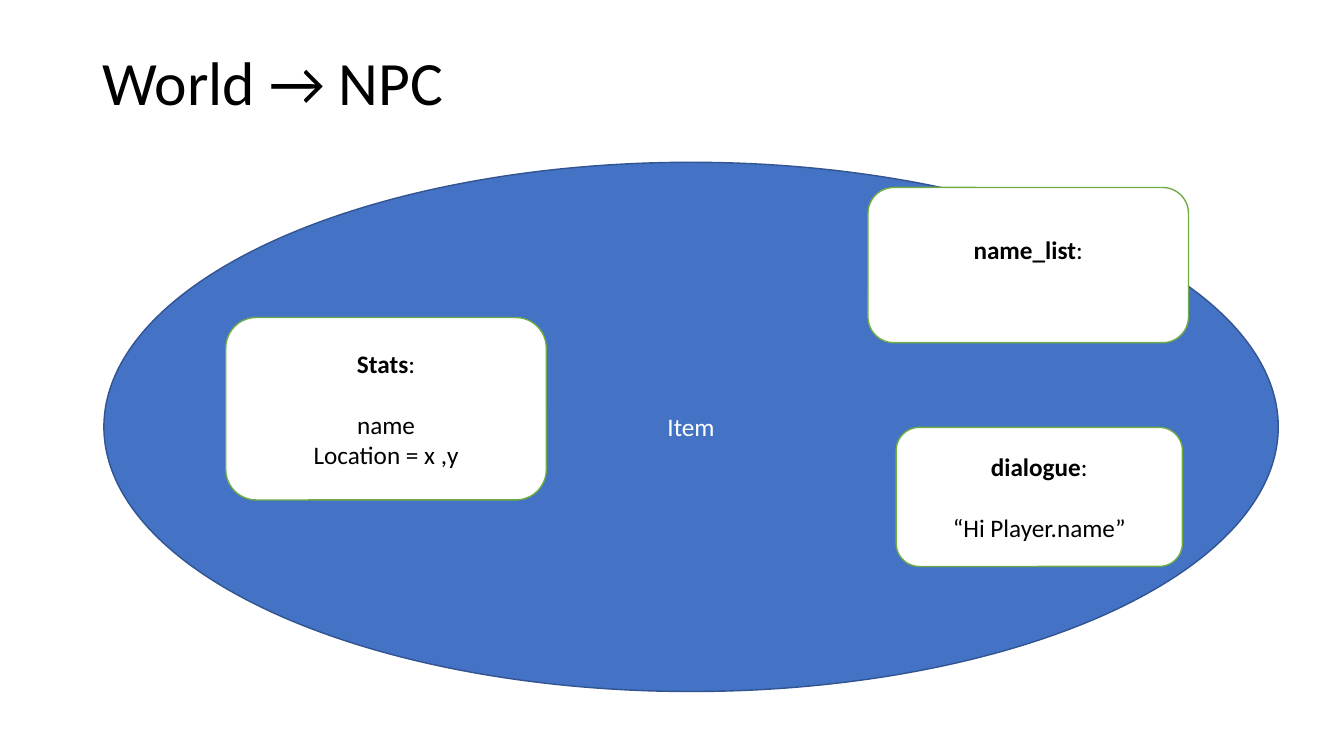
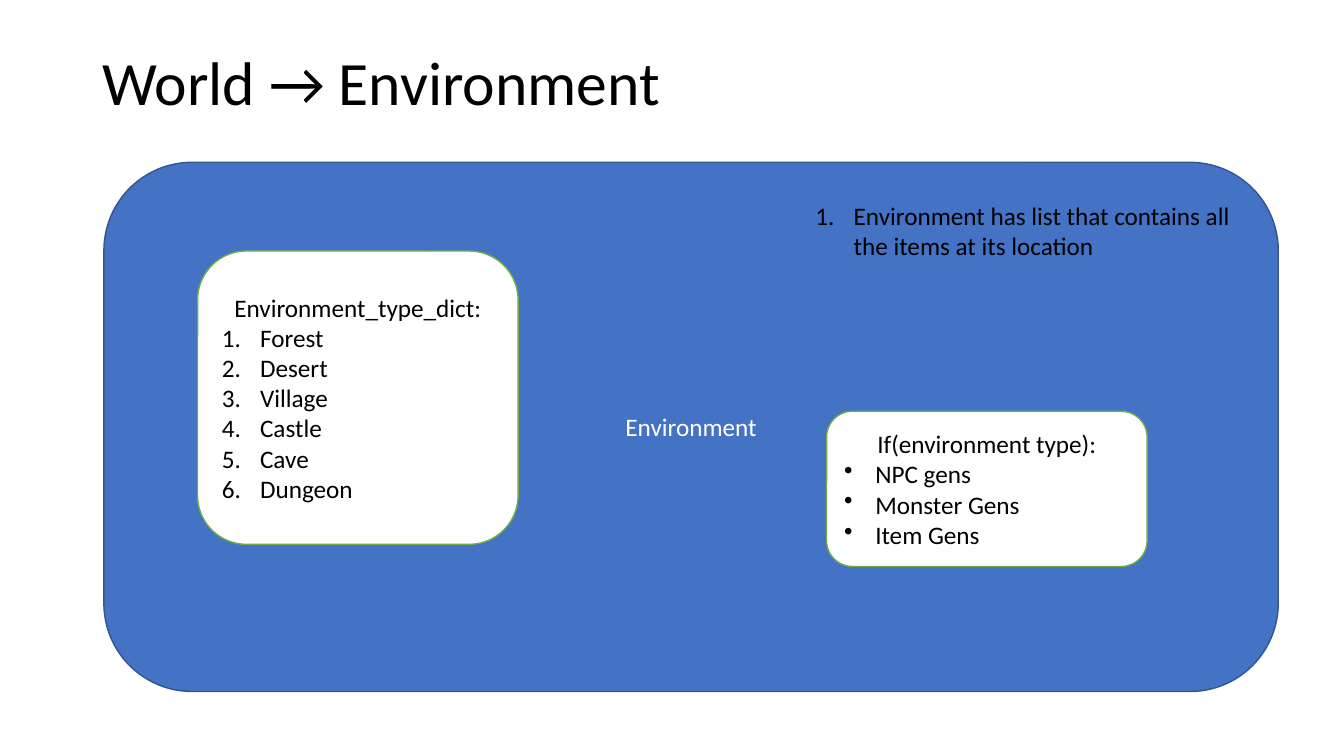
from lxml.etree import SubElement
from pptx import Presentation
from pptx.dml.color import RGBColor
from pptx.enum.shapes import MSO_SHAPE as Preset
from pptx.enum.text import MSO_ANCHOR as Anchor, PP_ALIGN as Align
from pptx.oxml.ns import qn
from pptx.util import Inches, Pt

THEME = {
    "font": "Calibri", "title_size": 44, "body_size": 18, "line_width": 1,
    "black": "000000", "white": "FFFFFF", "blue": "4472C4",
    "blue_edge": "325491", "green": "70AD47",
    "blank_line": 22,  # points, one body line
}
SIZE = (Inches(13.33), Inches(7.5))

# Areas are left, top, width, height in percent of the slide
TITLE_AREA = (6.9, 5.33, 86.25, 11.87)
WORLD_AREA = (7.73, 21.47, 87.38, 70)
CARD_WIDTH, CARD_HEIGHT = 23.85, 20.53

# List kinds: indent in inches, bullet tag, bullet attributes
LISTS = {
    "number": (0.38, "a:buAutoNum", {"type": "arabicPeriod"}),
    "bullet": (0.31, "a:buChar", {"char": "•"}),
}

# Content
SLIDES = [
    {
        "title": "World → NPC", "world": "Item", "outline": Preset.OVAL,
        "cards": [
            {"area": (16.8, 42, CARD_WIDTH, 24.13), "bold": "Stats", "head": ":",
             "lines": ["name", "Location = x ,y"]},
            {"area": (64.58, 24.8, CARD_WIDTH, CARD_HEIGHT), "bold": "name_list",
             "head": ":", "lines": []},
            {"area": (66.68, 56.53, 21.3, 18.4), "bold": "dialogue", "head": ":",
             "lines": ["“Hi Player.name”"]},
        ],
        "notes": [],
    },
    {
        "title": "World → Environment", "world": "Environment",
        "outline": Preset.ROUNDED_RECTANGLE,
        "cards": [
            {"area": (14.7, 33.2, CARD_WIDTH, 38.8), "head": "Environment_type_dict:",
             "list": "number",
             "lines": ["Forest", "Desert", "Village", "Castle", "Cave", "Dungeon"]},
            {"area": (61.5, 54.4, CARD_WIDTH, CARD_HEIGHT),
             "head": "If(environment type):", "list": "bullet",
             "lines": ["NPC gens", "Monster Gens", "Item Gens"]},
        ],
        "notes": [
            {"area": (59.93, 25.87, 33.23, 13.47), "list": "number",
             "lines": ["Environment has list that contains all the items at its location"]},
        ],
    },
]


def color(name):
    return RGBColor.from_string(THEME[name])


def place(area):
    return [round(SIZE[i % 2] * share / 100) for i, share in enumerate(area)]


def set_all(target, values):
    for name, value in values.items():
        setattr(target, name, value)


def add_run(paragraph, text, ink="black", size="body_size", bold=False):
    run = paragraph.add_run()
    run.text = text
    set_all(run.font, {"name": THEME["font"], "size": Pt(THEME[size]), "bold": bold})
    run.font.color.rgb = color(ink)


def add_text_box(slide, area, anchor):
    frame = slide.shapes.add_textbox(*place(area)).text_frame
    set_all(frame, {"word_wrap": True, "vertical_anchor": anchor})
    return frame


def add_block(slide, preset, area, fill, edge):
    shape = slide.shapes.add_shape(preset, *place(area))
    shape.shadow.inherit = False
    shape.fill.solid()
    shape.fill.fore_color.rgb = color(fill)
    shape.line.color.rgb = color(edge)
    shape.line.width = Pt(THEME["line_width"])
    frame = shape.text_frame
    set_all(frame, {"word_wrap": True, "vertical_anchor": Anchor.MIDDLE})
    frame.paragraphs[0].alignment = Align.CENTER
    return frame


def make_list_item(paragraph, kind):
    indent, tag, attributes = LISTS[kind]
    paragraph.alignment = Align.LEFT
    properties = paragraph._p.get_or_add_pPr()
    properties.set("marL", str(Inches(indent)))
    properties.set("indent", str(-Inches(indent)))
    SubElement(properties, qn(tag), attributes)


def add_card(slide, card):
    frame = add_block(slide, Preset.ROUNDED_RECTANGLE, card["area"], "white", "green")
    heading = frame.paragraphs[0]
    gap = Pt(THEME["blank_line"])
    if "bold" in card:
        add_run(heading, card["bold"], bold=True)
        if card["lines"]:
            heading.space_after = gap
        else:
            frame.margin_bottom += gap
    add_run(heading, card["head"])
    for line in card["lines"]:
        paragraph = frame.add_paragraph()
        paragraph.alignment = Align.CENTER
        if "list" in card:
            make_list_item(paragraph, card["list"])
        add_run(paragraph, line)


def add_note(slide, note):
    frame = add_text_box(slide, note["area"], Anchor.TOP)
    for i, line in enumerate(note["lines"]):
        paragraph = frame.add_paragraph() if i else frame.paragraphs[0]
        make_list_item(paragraph, note["list"])
        add_run(paragraph, line)


def build_slide(presentation, content):
    slide = presentation.slides.add_slide(presentation.slide_layouts[6])
    # Title
    title = add_text_box(slide, TITLE_AREA, Anchor.MIDDLE).paragraphs[0]
    title.line_spacing = 0.9
    add_run(title, content["title"], size="title_size")
    # World outline
    world = add_block(slide, content["outline"], WORLD_AREA, "blue", "blue_edge")
    add_run(world.paragraphs[0], content["world"], ink="white")
    # Cards and notes
    for card in content["cards"]:
        add_card(slide, card)
    for note in content["notes"]:
        add_note(slide, note)


def main():
    presentation = Presentation()
    set_all(presentation, {"slide_width": SIZE[0], "slide_height": SIZE[1]})
    for content in SLIDES:
        build_slide(presentation, content)
    presentation.save("out.pptx")


if __name__ == "__main__":
    main()
